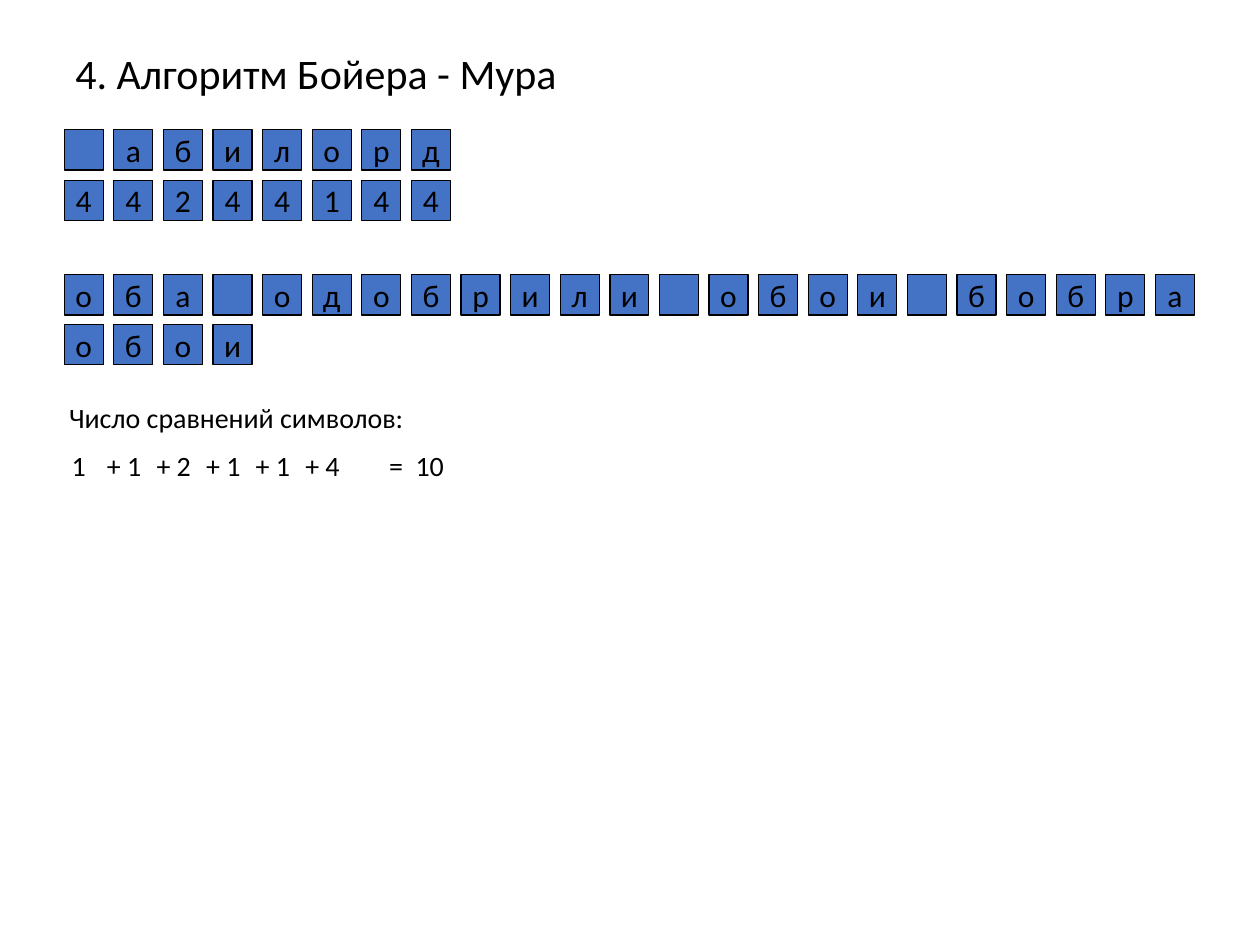
from dataclasses import dataclass

from lxml import etree
from pptx import Presentation
from pptx import util as u
from pptx.dml import color
from pptx.enum import shapes, text
from pptx.oxml import ns


@dataclass(frozen=True)
class Theme:
    font: str = "Calibri"
    ink: color.RGBColor = color.RGBColor(0, 0, 0)
    cell: color.RGBColor = color.RGBColor(0x44, 0x72, 0xC4)
    outline: u.Length = u.Pt(0.75)
    title: u.Length = u.Pt(24)
    letter: u.Length = u.Pt(18)
    body: u.Length = u.Pt(16)


THEME = Theme()
LEFT = 0.51
PITCH = 8.66 / 22
CELL_WIDTH, CELL_HEIGHT = 0.31, 0.32


def apply_format(target, values):
    for name, value in values.items():
        setattr(target, name, value)


def write(frame, words, size, frame_format, paragraph_format, tab=None):
    apply_format(frame, frame_format)
    line = frame.paragraphs[0]
    apply_format(line, paragraph_format)
    if tab:
        stops = etree.SubElement(line._p.get_or_add_pPr(), ns.qn("a:tabLst"))
        etree.SubElement(stops, ns.qn("a:tab"), pos=str(u.Inches(tab)), algn="l")
    line.text = words
    apply_format(line.font, {"name": THEME.font, "size": size})
    line.font.color.rgb = THEME.ink


def add_title(slide, words, box):
    title = slide.shapes.add_textbox(*map(u.Inches, box))
    write(title.text_frame, words, THEME.title,
          {"word_wrap": True, "vertical_anchor": text.MSO_ANCHOR.MIDDLE},
          {"line_spacing": 0.9})


def add_label(slide, words, box, tab=None):
    label = slide.shapes.add_textbox(*map(u.Inches, box))
    write(label.text_frame, words, THEME.body,
          {"word_wrap": True, "auto_size": text.MSO_AUTO_SIZE.SHAPE_TO_FIT_TEXT},
          {}, tab)


def add_letter_row(parts, letters, left, top):
    for column, letter in enumerate(letters):
        box = left + column * PITCH, top, CELL_WIDTH, CELL_HEIGHT
        cell = parts.add_shape(shapes.MSO_SHAPE.RECTANGLE, *map(u.Inches, box))
        cell.shadow.inherit = False
        cell.fill.solid()
        cell.fill.fore_color.rgb = THEME.cell
        cell.line.color.rgb = THEME.ink
        cell.line.width = THEME.outline
        if letter != " ":
            write(cell.text_frame, letter, THEME.letter,
                  {"word_wrap": False, "vertical_anchor": text.MSO_ANCHOR.MIDDLE},
                  {"alignment": text.PP_ALIGN.CENTER})


def add_shift_table(slide, left, top):
    for row, letters in enumerate((" абилорд", "44244144")):
        add_letter_row(slide.shapes, letters, left, top + row * 0.4)


def add_search(slide, left, top):
    add_letter_row(slide.shapes, "оба одобрили обои бобра", left, top)
    pattern = slide.shapes.add_group_shape()
    add_letter_row(pattern.shapes, "обои", left, top + PITCH)


def add_comparison_count(slide, left, top):
    height, sum_top = 0.37, top + 0.38
    add_label(slide, "Число сравнений символов:", (left, top, 3.12, height))
    first, *others = (1, 1, 2, 1, 1, 4)
    add_label(slide, str(first), (left + 0.02, sum_top, 0.32, height))
    for step, count in enumerate(others):
        add_label(slide, f"+ {count}",
                  (left + 0.3 + step * PITCH, sum_top, 0.52, height))
    add_label(slide, f"=\t{first + sum(others)}",
              (left + 2.54, sum_top, 0.7, height), tab=0.21)


def main():
    deck = Presentation()
    apply_format(deck, {"slide_width": u.Inches(10), "slide_height": u.Inches(7.5)})
    slide = deck.slides.add_slide(deck.slide_layouts[6])
    add_title(slide, "4. Алгоритм Бойера - Мура", (0.5, 0.3, 9, 0.61))
    add_shift_table(slide, LEFT, 1.03)
    add_search(slide, LEFT, 2.18)
    add_comparison_count(slide, 0.45, 3.13)
    deck.save("out.pptx")


if __name__ == "__main__":
    main()
